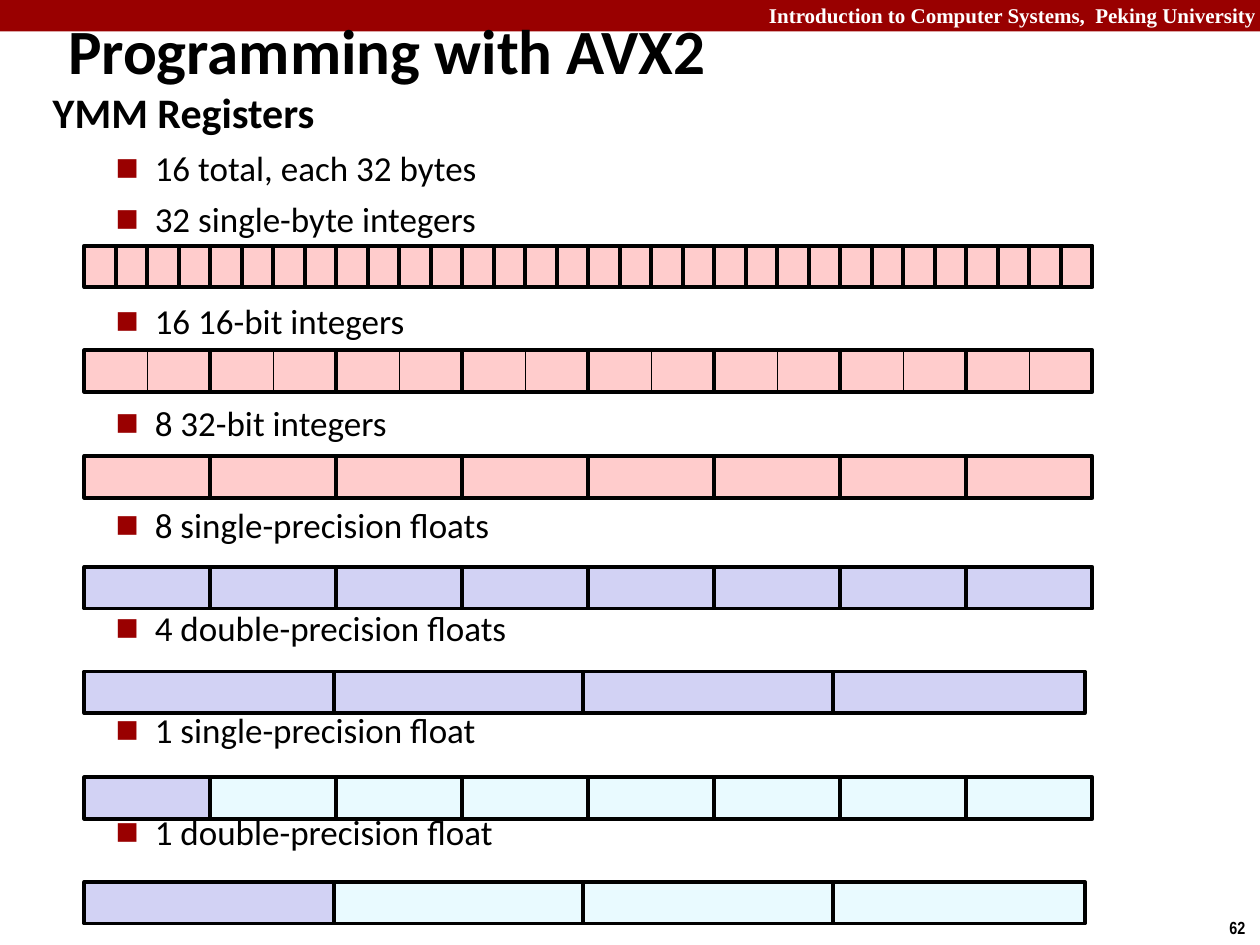
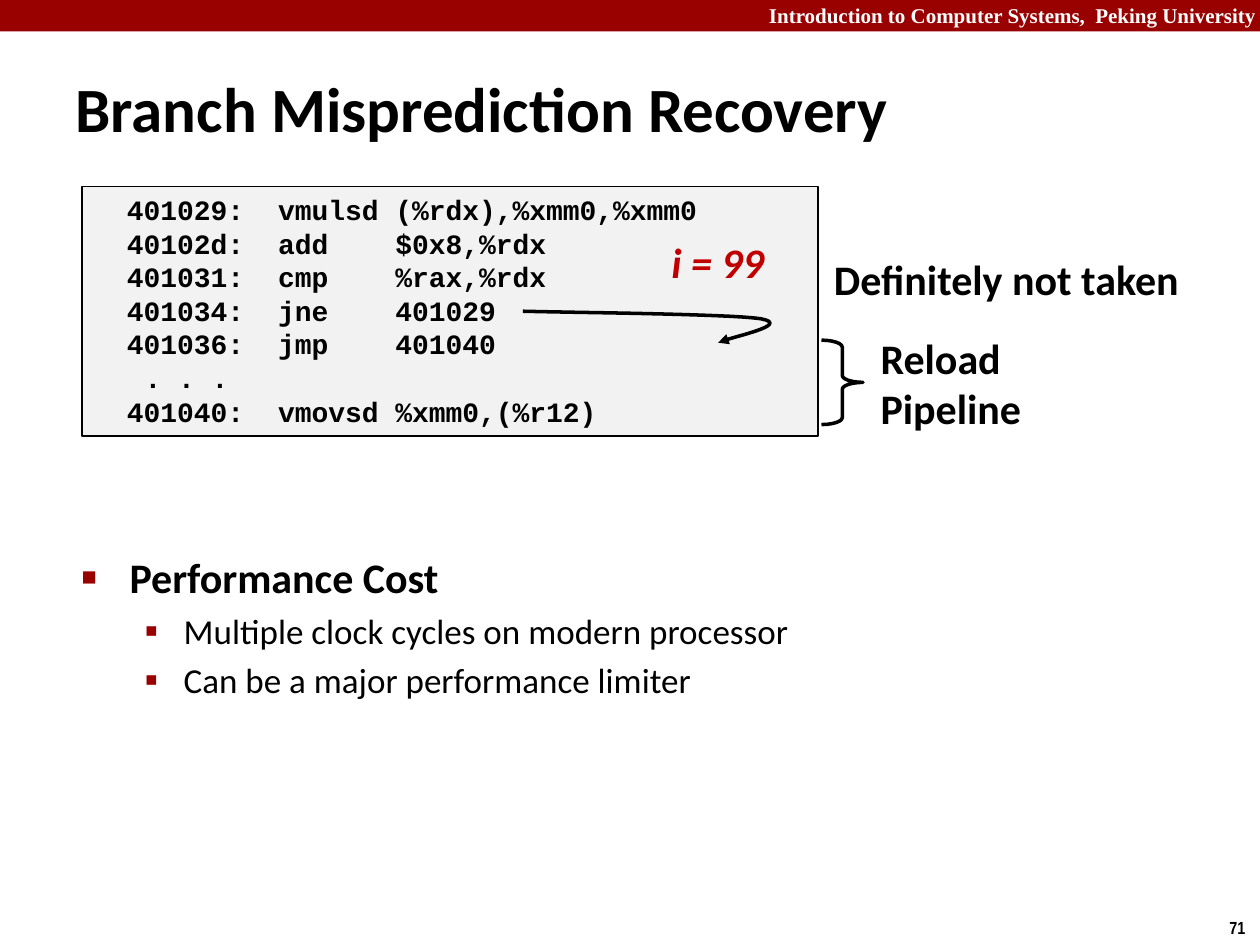
from lxml import etree
from pptx import Presentation
from pptx.dml.color import RGBColor
from pptx.enum.shapes import MSO_SHAPE
from pptx.enum.text import MSO_ANCHOR, MSO_AUTO_SIZE, PP_ALIGN
from pptx.oxml.ns import qn
from pptx.util import Inches, Pt

RECT, BRACE = MSO_SHAPE.RECTANGLE, MSO_SHAPE.RIGHT_BRACE
LEFT, RIGHT = PP_ALIGN.LEFT, PP_ALIGN.RIGHT
TOP, MIDDLE = MSO_ANCHOR.TOP, MSO_ANCHOR.MIDDLE

COLORS = {
    "band": "990000", "white": "FFFFFF", "black": "000000", "note": "C00000",
    "integer": "FFCCCC", "float": "D2D2F4", "unused": "E9FAFF", "code": "F2F2F2",
}
COURSE = "Introduction to Computer Systems,  Peking University "
BULLET_FONT = "Times New Roman"

AVX = {"title": "Programming with AVX2", "title_at": (0.44, -0.03, 9.53, 0.85), "page": "62"}
AVX_HEADING = "YMM Registers"
AVX_INTRO = "16 total, each 32 bytes"
REGISTERS = [
    ("32 single-byte integers", 1.95, 32, "integer", "integer"),
    ("16 16-bit integers", 2.78, 16, "integer", "integer"),
    ("8 32-bit integers", 3.62, 8, "integer", "integer"),
    ("8 single-precision floats", 4.5, 8, "float", "float"),
    ("4 double-precision floats", 5.33, 4, "float", "float"),
    ("1 single-precision float", 6.17, 8, "float", "unused"),
    ("1 double-precision float", 7.0, 4, "float", "unused"),
]
REG_LEFT, REG_WIDTH, REG_HEIGHT = 0.67, 8, 0.33
QUAD_STEP = 1.98
HALF_WORDS = 16

BRANCH = {"title": "Branch Misprediction Recovery", "title_at": (0.5, 0.54, 8.26, 0.63), "page": "71"}
CODE = [
    ("401029:", "vmulsd", "(%rdx),%xmm0,%xmm0"),
    ("40102d:", "add", "$0x8,%rdx"),
    ("401031:", "cmp", "%rax,%rdx"),
    ("401034:", "jne", "401029"),
    ("401036:", "jmp", "401040"),
    (". . .",),
    ("401040:", "vmovsd", "%xmm0,(%r12)"),
]
CODE_TABS, DOTS_TABS = (0.26, 1.46, 2.39), (0.4,)
LABELS = [
    ("i = 99", (5.23, 1.83, 0.94, 0.5), "note", True),
    ("Definitely not taken", (6.52, 1.96, 2.97, 0.5), "black", False),
    ("Reload\nPipeline", (6.89, 2.59, 1.33, 0.91), "black", False),
]
JUMP_CURVES = [
    ((4.15, 2.47), (4.47, 2.48), (5.78, 2.49), (6.04, 2.53)),
    ((6.04, 2.53), (6.3, 2.58), (5.77, 2.68), (5.7, 2.72)),
]
COST_HEADING = "Performance Cost"
COSTS = ["Multiple clock cycles on modern processor", "Can be a major performance limiter"]


def rgb(name):
    return RGBColor.from_string(COLORS[name])


def box(at):
    return [Inches(v) for v in at]


def style(p, size, font="Calibri", color="black", bold=True, italic=False):
    for r in p.runs:
        r.font.size, r.font.name = Pt(size), font
        r.font.bold, r.font.italic = bold, italic
        r.font.color.rgb = rgb(color)


def add_text(s, at, text, size, font="Calibri", color="black", italic=False, align=LEFT, wrap=False):
    tf = s.shapes.add_textbox(*box(at)).text_frame
    tf.word_wrap = wrap
    tf.text = text
    for p in tf.paragraphs:
        p.alignment = align
        style(p, size, font, color, italic=italic)


def add_rect(s, at, fill=None, line="black", weight=2.25, kind=RECT):
    sp = s.shapes.add_shape(kind, *box(at))
    sp.shadow.inherit = False
    if fill:
        sp.fill.solid()
        sp.fill.fore_color.rgb = rgb(fill)
    else:
        sp.fill.background()
    if line:
        sp.line.color.rgb = rgb(line)
        sp.line.width = Pt(weight)
    else:
        sp.line.fill.background()
    return sp


def add_slide(prs, info):
    s = prs.slides.add_slide(prs.slide_layouts[5])
    add_rect(s, (0, 0, 10, 0.25), "band", None)
    add_text(s, (6, -0.03, 4.07, 0.3), COURSE, 12, "Times New Roman", "white", align=RIGHT, wrap=True)
    add_text(s, (9.66, 7.23, 0.34, 0.27), info["page"], 10, "Arial Narrow")
    title = s.shapes.title
    title.left, title.top, title.width, title.height = box(info["title_at"])
    tf = title.text_frame
    tf.text = info["title"]
    tf.auto_size, tf.vertical_anchor = MSO_AUTO_SIZE.NONE, MIDDLE
    tf.paragraphs[0].alignment = LEFT
    style(tf.paragraphs[0], 36)
    s.shapes._spTree.append(title._element)
    return s


def set_bullet(p, char, percent, margin, indent):
    pPr = p._p.get_or_add_pPr()
    pPr.set("marL", str(Inches(margin)))
    pPr.set("indent", str(Inches(indent)))
    clr = etree.SubElement(pPr, qn("a:buClr"))
    etree.SubElement(clr, qn("a:srgbClr"), val=COLORS["band"])
    etree.SubElement(pPr, qn("a:buSzPct"), val=str(percent * 1000))
    etree.SubElement(pPr, qn("a:buFont"), typeface=BULLET_FONT)
    etree.SubElement(pPr, qn("a:buChar"), char=char)


def add_body(s, at, heading, items, char, spacing, heading_bullet=False):
    tf = s.shapes.add_textbox(*box(at)).text_frame
    tf.word_wrap = True
    tf.text = "\n".join([heading] + [text for text, gap in items])
    first, *rest = tf.paragraphs
    first.line_spacing, first.space_before = spacing, Pt(4.8)
    style(first, 24)
    if heading_bullet:
        set_bullet(first, "■", 60, 0.38, -0.38)
    for p, (text, gap) in zip(rest, items):
        p.line_spacing, p.space_before = spacing, Pt(gap)
        style(p, 20, bold=False)
        set_bullet(p, char, 110, 0.81, -0.31)


def add_register(s, top, count, used, others):
    width = REG_WIDTH / count
    step = QUAD_STEP if count == 4 else width
    weight = 0.5 if count == HALF_WORDS else 2.25
    for i in range(count):
        add_rect(s, (REG_LEFT + i * step, top, width, REG_HEIGHT), others if i else used, weight=weight)
    if count == HALF_WORDS:
        for i in range(REG_WIDTH):
            add_rect(s, (REG_LEFT + i, top, 1, REG_HEIGHT))


def add_code(s):
    sp = add_rect(s, (0.65, 1.48, 5.84, 1.98), "code", weight=1)
    tf = sp.text_frame
    tf.word_wrap, tf.vertical_anchor = True, TOP
    tf.text = "\n".join("\t" + "\t".join(row) for row in CODE)
    for p, row in zip(tf.paragraphs, CODE):
        p.alignment, p.line_spacing = LEFT, Pt(19.2)
        style(p, 16, "Courier New")
        tabs = etree.SubElement(p._p.get_or_add_pPr(), qn("a:tabLst"))
        for pos in CODE_TABS if len(row) > 1 else DOTS_TABS:
            etree.SubElement(tabs, qn("a:tab"), pos=str(Inches(pos)), algn="l")


def curve_point(curve, t):
    weights = ((1 - t) ** 3, 3 * t * (1 - t) ** 2, 3 * t * t * (1 - t), t ** 3)
    return tuple(Inches(sum(w * pt[k] for w, pt in zip(weights, curve))) for k in (0, 1))


def add_jump(s):
    steps = 16
    points = [curve_point(c, i / steps) for c in JUMP_CURVES for i in range(1, steps + 1)]
    builder = s.shapes.build_freeform(*curve_point(JUMP_CURVES[0], 0))
    builder.add_line_segments(points, close=False)
    sp = builder.convert_to_shape()
    sp.shadow.inherit = False
    sp.fill.background()
    sp.line.color.rgb = rgb("black")
    sp.line.width = Pt(2)
    etree.SubElement(sp.line._get_or_add_ln(), qn("a:tailEnd"), type="triangle")


def build_avx(prs):
    s = add_slide(prs, AVX)
    for label, *register in REGISTERS:
        add_register(s, *register)
    items = [(AVX_INTRO, 4.2)]
    items += [(row[0], 33.2 if i else 3.8) for i, row in enumerate(REGISTERS)]
    add_body(s, (0.32, 0.62, 9.09, 6.72), AVX_HEADING, items, "■", 1.05)


def build_branch(prs):
    s = add_slide(prs, BRANCH)
    items = [(text, 4) for text in COSTS]
    add_body(s, (0.55, 4.33, 8.76, 1.5), COST_HEADING, items, "▪", 1.0, heading_bullet=True)
    add_code(s)
    add_jump(s)
    for text, at, color, italic in LABELS:
        add_text(s, at, text, 24, color=color, italic=italic)
    brace = add_rect(s, (6.52, 2.7, 0.33, 0.67), weight=2, kind=BRACE)
    brace.adjustments[0], brace.adjustments[1] = 0.167, 0.5


def main():
    prs = Presentation()
    prs.slide_width, prs.slide_height = Inches(10), Inches(7.5)
    build_avx(prs)
    build_branch(prs)
    prs.save("out.pptx")


if __name__ == "__main__":
    main()
